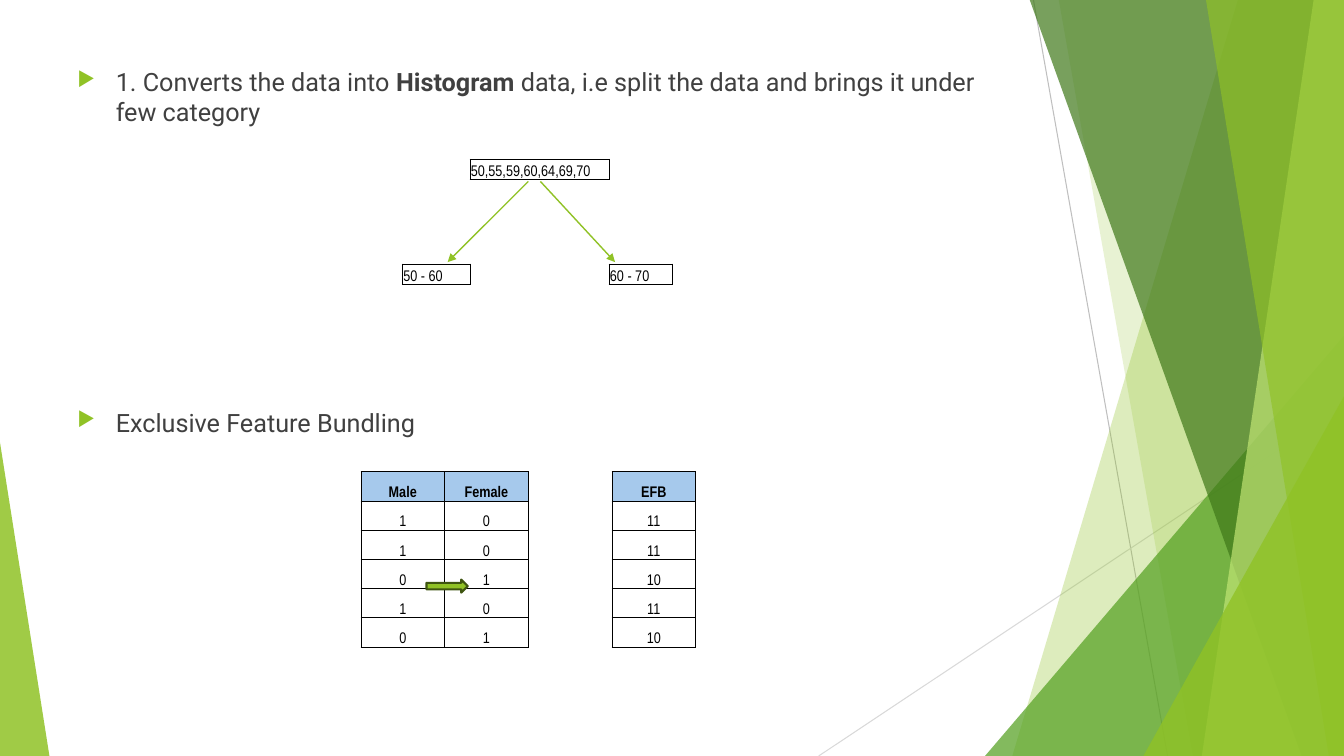
import pptx
import pptx.dml.color
import pptx.enum.shapes
import pptx.enum.text
import pptx.oxml
import pptx.oxml.ns
import pptx.util
from lxml import etree

Inches = pptx.util.Inches
Pt = pptx.util.Pt
qn = pptx.oxml.ns.qn
Shape = pptx.enum.shapes.MSO_SHAPE
Align = pptx.enum.text.PP_ALIGN
Anchor = pptx.enum.text.MSO_ANCHOR

GREEN, BLACK = "90C226", "000000"
BODY = {"name": "Roboto", "size": Pt(18), "bold": False}
CELL = {"name": "Arial Narrow", "size": Pt(11), "bold": False}
CELL_BOX = {"margin_left": Inches(0.01), "margin_right": Inches(0.01),
            "margin_top": Inches(0.01), "margin_bottom": 0,
            "vertical_anchor": Anchor.BOTTOM}


def color(hex_value):
    return pptx.dml.color.RGBColor.from_string(hex_value)


def apply(target, values):
    for name, value in values.items():
        setattr(target, name, value)


def add_xml(parent, tag, **attributes):
    return etree.SubElement(parent, qn(tag), attributes)


class SlideBuilder:
    def __init__(self, slide):
        self.slide = slide
        self.shapes = slide.shapes

    def paint(self, shape, fill, opacity=100, line=None, width=0):
        shape.shadow.inherit = False
        shape.fill.solid()
        shape.fill.fore_color.rgb = color(fill)
        if opacity < 100:
            srgb = shape.fill._xPr.find(qn("a:solidFill"))[0]
            add_xml(srgb, "a:alpha", val=str(opacity * 1000))
        if line:
            shape.line.color.rgb = color(line)
            shape.line.width = Pt(width)
        else:
            shape.line.fill.background()

    def preset(self, kind, box, fill, adjust=None, **style):
        shape = self.shapes.add_shape(kind, *map(Inches, box))
        if adjust is not None:
            shape.adjustments[0] = adjust
        self.paint(shape, fill, **style)

    def polygon(self, points, fill, opacity):
        start, *rest = [(Inches(x), Inches(y)) for x, y in points]
        outline = self.shapes.build_freeform(*start)
        outline.add_line_segments(rest, close=True)
        self.paint(outline.convert_to_shape(), fill, opacity)

    def line(self, start, end, stroke, width, arrow=False):
        connector = self.shapes.add_connector(
            pptx.enum.shapes.MSO_CONNECTOR.STRAIGHT, *map(Inches, start + end))
        connector.line.color.rgb = color(stroke)
        connector.line.width = Pt(width)
        if arrow:
            add_xml(connector.line._get_or_add_ln(), "a:tailEnd", type="triangle")
        add_xml(connector._element.spPr, "a:effectLst")

    def run(self, paragraph, text, font, ink, **changes):
        run = paragraph.add_run()
        run.text = text
        apply(run.font, {**font, **changes})
        run.font.color.rgb = color(ink)

    def bullets(self, box, items):
        frame = self.shapes.add_textbox(*map(Inches, box)).text_frame
        frame.word_wrap = True
        for index, (space, runs) in enumerate(items):
            paragraph = frame.add_paragraph() if index else frame.paragraphs[0]
            paragraph.space_before = Pt(space)
            pPr = paragraph._p.get_or_add_pPr()
            indent = Inches(0.38)
            pPr.set("marL", str(indent))
            pPr.set("indent", str(-indent))
            add_xml(add_xml(pPr, "a:buClr"), "a:srgbClr", val=GREEN)
            add_xml(pPr, "a:buSzPct", val="80000")
            add_xml(pPr, "a:buChar", char="▶")
            for text, bold in runs:
                self.run(paragraph, text, BODY, "404040", bold=bold)

    def table(self, left, top, widths, heights, rows, align, header=None):
        box = (left, top, sum(widths), sum(heights))
        table = self.shapes.add_table(len(rows), len(widths), *map(Inches, box)).table
        apply(table, {"first_row": False, "horz_banding": False})
        for column, width in zip(table.columns, widths):
            column.width = Inches(width)
        for row, height in zip(table.rows, heights):
            row.height = Inches(height)
        filled = {(r, c) for r, row in enumerate(rows)
                  for c, text in enumerate(row) if text}
        for r, row in enumerate(rows):
            for c, text in enumerate(row):
                cell = table.cell(r, c)
                apply(cell, CELL_BOX)
                self.borders(cell, r, c, filled)
                cell.fill.background()
                paragraph = cell.text_frame.paragraphs[0]
                paragraph.alignment = align
                if not text:
                    add_xml(paragraph._p, "a:endParaRPr", sz="1100")
                    continue
                is_header = bool(header) and r == 0
                self.run(paragraph, text, CELL, BLACK, bold=is_header)
                if is_header:
                    cell.fill.solid()
                    cell.fill.fore_color.rgb = color(header)

    def borders(self, cell, r, c, filled):
        """Rule every side that touches a cell with text."""
        tcPr = cell._tc.get_or_add_tcPr()
        neighbours = {"L": (r, c - 1), "R": (r, c + 1), "T": (r - 1, c), "B": (r + 1, c)}
        for side, neighbour in neighbours.items():
            edge = add_xml(tcPr, "a:ln" + side, w=str(Pt(0.5)))
            if filled & {(r, c), neighbour}:
                add_xml(add_xml(edge, "a:solidFill"), "a:srgbClr", val=BLACK)
            else:
                add_xml(edge, "a:noFill")


def main():
    deck = pptx.Presentation()
    apply(deck, {"slide_width": Inches(13.33), "slide_height": Inches(7.5)})
    page = SlideBuilder(deck.slides.add_slide(deck.slide_layouts[6]))

    # Faceted green decoration: each facet runs to the right edge
    right, above, bottom = 13.33, -0.01, 7.5

    def facet(top_x, bottom_x, fill, opacity):
        page.polygon([(top_x, above), (right, above), (right, bottom),
                      (bottom_x, bottom)], fill, opacity)

    def corner(box, adjust, fill, opacity):
        page.preset(Shape.ISOSCELES_TRIANGLE, box, fill, adjust, opacity=opacity)

    page.line((10.25, 0), (11.58, bottom), "BFBFBF", 0.75)
    page.line((right, 4.03), (8.12, bottom), "D9D9D9", 0.75)
    facet(12.28, 10.04, GREEN, 30)
    facet(10.5, 11.83, GREEN, 20)
    corner((9.77, 3.33, 3.56, 4.17), 1, "54A021", 72)
    facet(10.21, 12.91, "3F7819", 70)
    facet(13.03, 11.92, "C0E474", 70)
    facet(11.96, 13.18, GREEN, 65)
    corner((11.34, 3.93, 1.99, 3.57), 1, GREEN, 80)
    corner((0, 4.39, 0.49, 3.11), 0, GREEN, 85)

    # The two points, spaced to leave room for the split
    page.bullets((0.67, 0.61, 9.4, 4.24), [
        (0, [("1. Converts the data into ", False), ("Histogram", True),
             (" data, i.e split the data and brings it under few category", False)]),
        (200, [("Exclusive Feature Bundling", False)]),
    ])

    # Histogram split
    page.table(3.99, 1.58, [0.67, 1.38, 0.63], [0.2, 0.84, 0.2],
               [["", "50,55,59,60,64,69,70", ""],
                ["", "", ""],
                ["50 - 60", "", "60 - 70"]], Align.LEFT)
    page.line((5.24, 1.8), (4.44, 2.6), GREEN, 1, arrow=True)
    page.line((5.36, 1.8), (6.1, 2.6), GREEN, 1, arrow=True)

    # Feature bundling: EFB is 11 for male, 10 for female
    bundle = [["Male", "Female", "", "EFB"]]
    for male in (1, 1, 0, 1, 0):
        bundle.append([str(male), str(1 - male), "", str(10 + male)])
    page.table(3.58, 4.68, [0.83] * 4, [0.29] * 6, bundle, Align.CENTER, "A6C9EC")
    page.preset(Shape.RIGHT_ARROW, (4.23, 5.75, 0.41, 0.13), GREEN,
                line="3F5511", width=1.5)

    deck.save("out.pptx")


if __name__ == "__main__":
    main()
